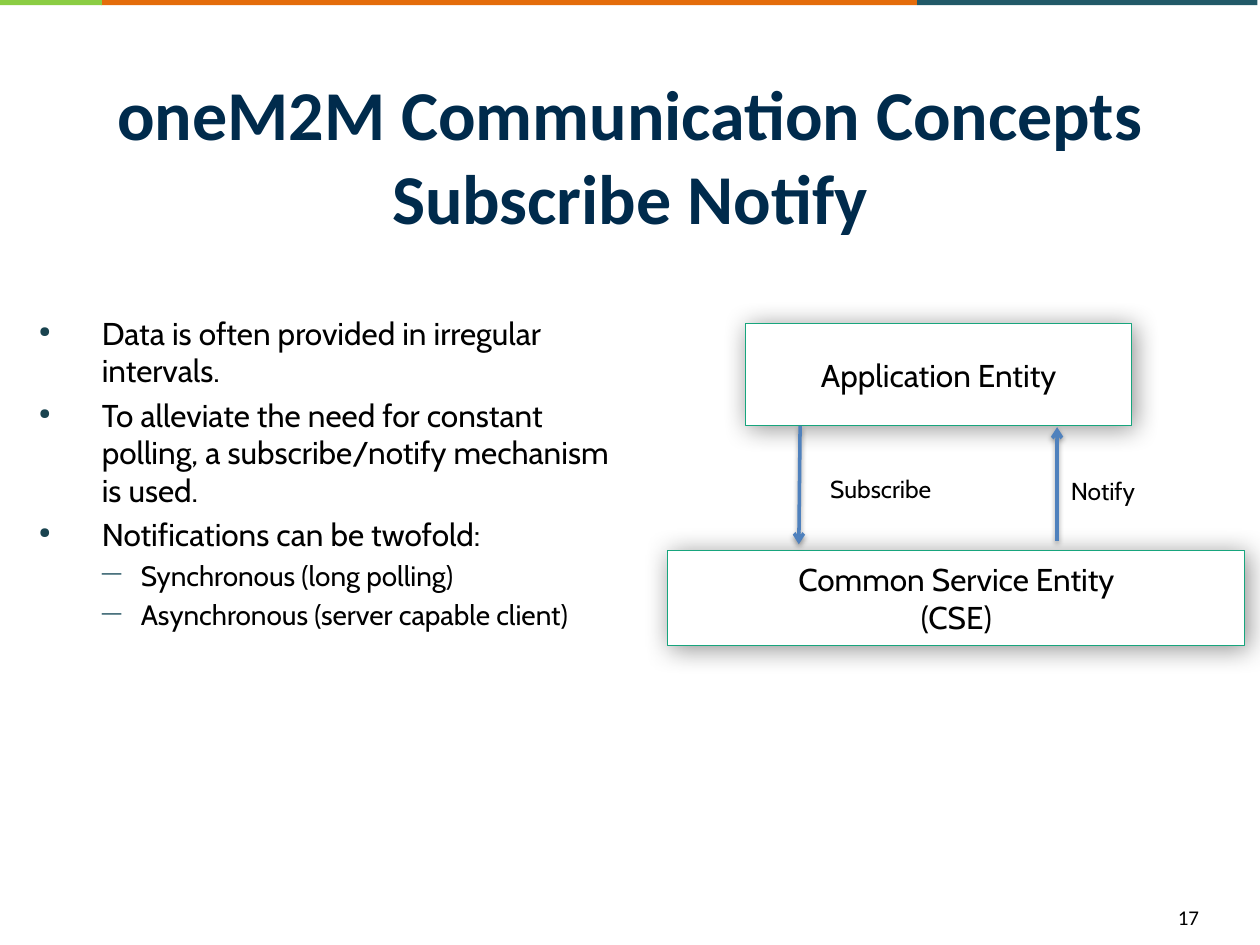
from lxml import etree
from pptx import Presentation
from pptx import util as u
from pptx.dml.color import RGBColor
from pptx.enum import shapes, text
from pptx.oxml.ns import qn

COLORS = {
    "green": "8BCD43", "orange": "E46C0A", "teal": "215968",
    "navy": "002B4C", "black": "000000", "white": "FFFFFF",
    "border": "17A57D", "arrow": "4F81BD",
    "bullet": "19434F", "dash": "1D4F5D",
}
TITLE = "oneM2M Communication Concepts\vSubscribe Notify"
SLIDE_NUMBER = "17"
STRIPES = [  # left, width, colour
    (0.8, 6.48, "orange"), (7.28, 2.7, "teal"), (-0.05, 0.86, "green"),
]
BULLETS = [  # level, text
    (0, "Data is often provided in irregular intervals."),
    (0, "To alleviate the need for constant polling, "
        "a subscribe/notify mechanism is used."),
    (0, "Notifications can be twofold:"),
    (1, "Synchronous (long polling)"),
    (1, "Asynchronous (server capable client)"),
]
LEVELS = [
    dict(size=18, indent=0.5, hanging=0.5, mark="●", color="bullet", percent=48),
    dict(size=16, indent=0.81, hanging=0.31, mark="—", color="dash", percent=70),
]
ENTITIES = [  # box, lines
    ((5.3, 4.37, 4.58, 0.75), ["Common Service Entity", "(CSE)"]),
    ((5.92, 2.57, 3.06, 0.81), ["Application Entity"]),
]
MESSAGES = [  # label, label position, arrow start, arrow end
    ("Subscribe", (6.49, 3.71), (6.35, 3.38), (6.34, 4.32)),
    ("Notify", (8.4, 3.73), (8.39, 4.29), (8.39, 3.39)),
]
BOX_SHADOW = dict(opacity=43, blur=15, distance=2, angle=45)
ARROW_SHADOW = dict(opacity=38, blur=3.1, distance=1.6, angle=90)


def rgb(name):
    return RGBColor.from_string(COLORS[name])


def inches(values):
    return [u.Inches(value) for value in values]


def add_xml(parent, tag, **attributes):
    child = etree.SubElement(parent, qn(tag))
    for key, value in attributes.items():
        child.set(key, str(value))
    return child


def add_shadow(properties, opacity, blur, distance, angle):
    effects = properties.find(qn("a:effectLst"))
    if effects is None:
        effects = add_xml(properties, "a:effectLst")
    shadow = add_xml(effects, "a:outerShdw", blurRad=int(u.Pt(blur)),
                     dist=int(u.Pt(distance)), dir=angle * 60000, rotWithShape=0)
    color = add_xml(shadow, "a:srgbClr", val=COLORS["black"])
    add_xml(color, "a:alpha", val=opacity * 1000)


def write(shape, lines, size=18, font="Cabin", color="black", bold=False,
          align=text.PP_ALIGN.LEFT, anchor=text.MSO_ANCHOR.TOP):
    frame = shape.text_frame
    frame.word_wrap = True
    frame.vertical_anchor = anchor
    for index, line in enumerate(lines):
        paragraph = frame.add_paragraph() if index else frame.paragraphs[0]
        paragraph.text = line
        paragraph.alignment = align
        for run in paragraph.runs:
            run.font.size = u.Pt(size)
            run.font.name = font
            run.font.bold = bold
            run.font.color.rgb = rgb(color)
    return frame.paragraphs


def add_text(slide, box, lines, **style):
    return write(slide.shapes.add_textbox(*inches(box)), lines, **style)


def add_rectangle(slide, box, fill, border=None):
    shape = slide.shapes.add_shape(shapes.MSO_SHAPE.RECTANGLE, *inches(box))
    shape.shadow.inherit = False
    shape.fill.solid()
    shape.fill.fore_color.rgb = rgb(fill)
    if border:
        shape.line.color.rgb = rgb(border)
        shape.line.width = u.Pt(0.5)
    else:
        shape.line.fill.background()
    return shape


def add_arrow(slide, start, end):
    arrow = slide.shapes.add_connector(
        shapes.MSO_CONNECTOR.STRAIGHT, *inches(start + end))
    arrow.line.color.rgb = rgb("arrow")
    arrow.line.width = u.Pt(2)
    add_xml(arrow.line._get_or_add_ln(), "a:tailEnd", type="arrow")
    add_shadow(arrow._element.spPr, **ARROW_SHADOW)


def format_bullet(paragraph, level):
    style = LEVELS[level]
    paragraph.level = level
    paragraph.space_before = u.Pt(0.2 * style["size"])
    for run in paragraph.runs:
        run.font.size = u.Pt(style["size"])
    properties = paragraph._p.get_or_add_pPr()
    properties.set("marL", str(u.Inches(style["indent"])))
    properties.set("indent", str(-u.Inches(style["hanging"])))
    color = add_xml(properties, "a:buClr")
    add_xml(color, "a:srgbClr", val=COLORS[style["color"]])
    add_xml(properties, "a:buSzPct", val=style["percent"] * 1000)
    add_xml(properties, "a:buChar", char=style["mark"])


def main():
    presentation = Presentation()
    presentation.slide_width, presentation.slide_height = inches((10, 7.5))
    slide = presentation.slides.add_slide(presentation.slide_layouts[6])
    centered = dict(align=text.PP_ALIGN.CENTER, anchor=text.MSO_ANCHOR.MIDDLE)

    for left, width, color in STRIPES:
        add_rectangle(slide, (left, -0.01, width, 0.05), color)
    add_text(slide, (0.5, 0.68, 9, 1.1), [TITLE], size=40, font="Calibri",
             color="navy", bold=True, **centered)

    for box, lines in ENTITIES:
        entity = add_rectangle(slide, box, "white", border="border")
        add_shadow(entity._element.spPr, **BOX_SHADOW)
        write(entity, lines, **centered)

    paragraphs = add_text(slide, (0.21, 2.44, 4.8, 4.11),
                          [line for _, line in BULLETS])
    for paragraph, (level, _) in zip(paragraphs, BULLETS):
        format_bullet(paragraph, level)

    for label, position, start, end in MESSAGES:
        add_arrow(slide, start, end)
        add_text(slide, position + (1.14, 0.34), [label], size=14)

    add_text(slide, (9.25, 7.13, 0.64, 0.4), [SLIDE_NUMBER], size=12, font="Calibri")
    presentation.save("out.pptx")


if __name__ == "__main__":
    main()
